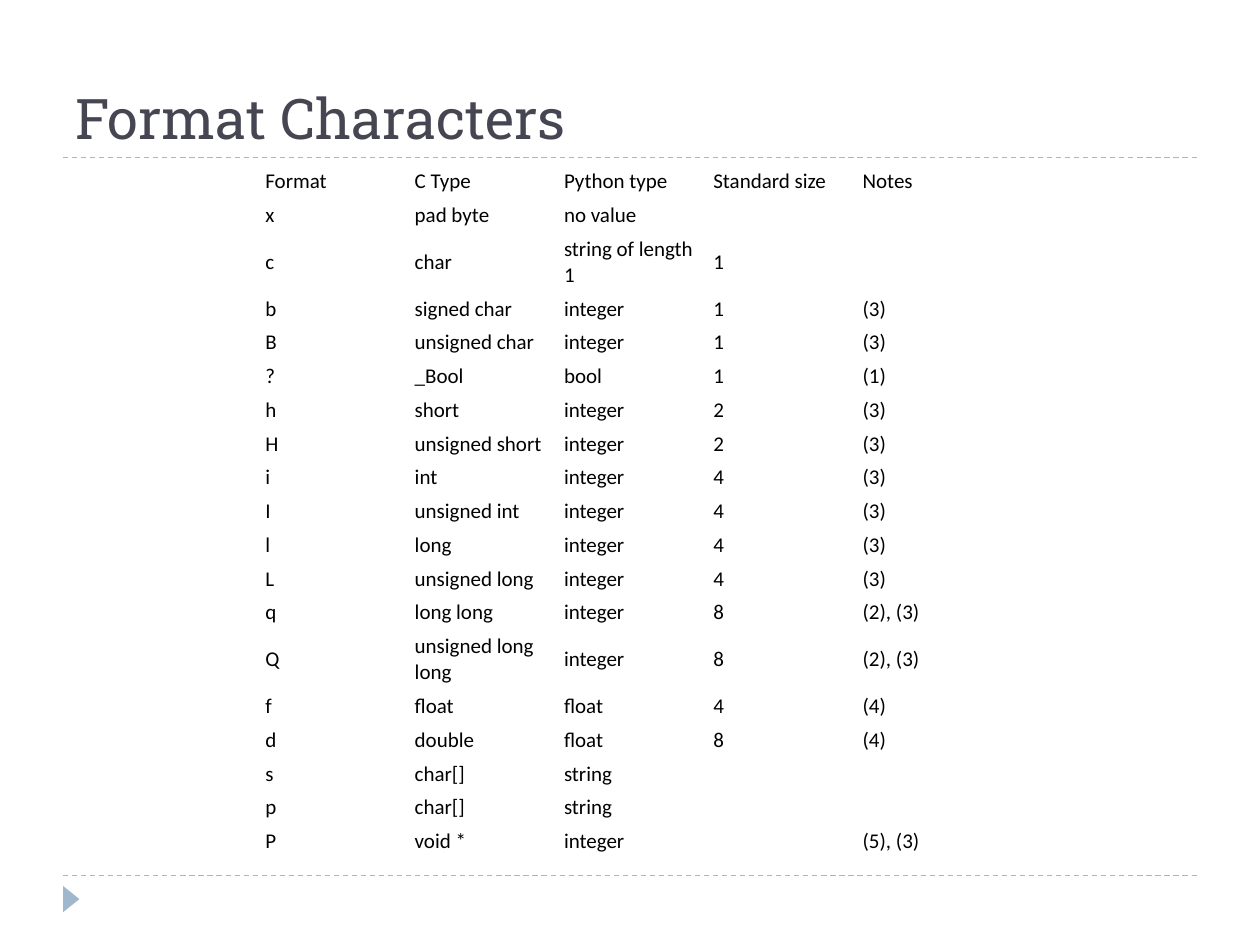
"""Build a slide with a table of struct format characters."""
from lxml import etree
from pptx import Presentation
from pptx import util as u
from pptx.dml.color import RGBColor
from pptx.enum import dml, shapes, text
from pptx.oxml.ns import qn

COLORS = {"title": "464653", "accent": "9FB8CD", "body": "000000"}
ROWS = [
    ("Format", "C Type", "Python type", "Standard size", "Notes"),
    ("x", "pad byte", "no value", "", ""),
    ("c", "char", "string of length 1", "1", ""),
    ("b", "signed char", "integer", "1", "(3)"),
    ("B", "unsigned char", "integer", "1", "(3)"),
    ("?", "_Bool", "bool", "1", "(1)"),
    ("h", "short", "integer", "2", "(3)"),
    ("H", "unsigned short", "integer", "2", "(3)"),
    ("i", "int", "integer", "4", "(3)"),
    ("I", "unsigned int", "integer", "4", "(3)"),
    ("l", "long", "integer", "4", "(3)"),
    ("L", "unsigned long", "integer", "4", "(3)"),
    ("q", "long long", "integer", "8", "(2), (3)"),
    ("Q", "unsigned long long", "integer", "8", "(2), (3)"),
    ("f", "float", "float", "4", "(4)"),
    ("d", "double", "float", "8", "(4)"),
    ("s", "char[]", "string", "", ""),
    ("p", "char[]", "string", "", ""),
    ("P", "void *", "integer", "", "(5), (3)"),
]
TWO_LINE_FORMATS = ("c", "Q")


def style_font(font, name, size, color):
    font.name = name
    font.size = u.Pt(size)
    font.color.rgb = RGBColor.from_string(COLORS[color])


deck = Presentation()
deck.slide_width, deck.slide_height = u.Cm(25.4), u.Cm(19.05)
page = deck.slides.add_slide(deck.slide_layouts[5])

for y in (17.65, 3.17):
    rule = page.shapes.add_connector(
        shapes.MSO_CONNECTOR.STRAIGHT, u.Cm(1.27), u.Cm(y), u.Cm(24.13), u.Cm(y))
    rule.line.color.rgb = RGBColor.from_string(COLORS["accent"])
    rule.line.width = u.Pt(0.75)
    rule.line.dash_style = dml.MSO_LINE.DASH
    etree.SubElement(rule._element.spPr, qn("a:effectLst"))

marker = page.shapes.add_shape(
    shapes.MSO_SHAPE.ISOSCELES_TRIANGLE, u.Cm(1.17), u.Cm(17.96), u.Cm(0.53), u.Cm(0.33))
marker.rotation = 90
marker.shadow.inherit = False
marker.fill.solid()
marker.fill.fore_color.rgb = RGBColor.from_string(COLORS["accent"])
marker.line.fill.background()

title = page.shapes.title
title.left, title.top, title.width, title.height = u.Cm(1.27), u.Cm(0.43), u.Cm(22.86), u.Cm(2.74)
title.text_frame.text = "Format Characters"
title.text_frame.vertical_anchor = text.MSO_ANCHOR.BOTTOM
heading = title.text_frame.paragraphs[0]
heading.alignment = text.PP_ALIGN.LEFT
style_font(heading.runs[0].font, "Roboto Slab", 32, "title")

table = page.shapes.add_table(
    len(ROWS), len(ROWS[0]), u.Cm(5.18), u.Cm(3.32), u.Cm(15.05), u.Cm(13.98)).table
table.first_row = table.horz_banding = False
for column in table.columns:
    column.width = u.Cm(3.01)
for row, values in zip(table.rows, ROWS):
    row.height = u.Cm(1.21 if values[0] in TWO_LINE_FORMATS else 0.68)
    for cell, value in zip(row.cells, values):
        cell.fill.background()
        cell.vertical_anchor = text.MSO_ANCHOR.MIDDLE
        cell.margin_left = cell.margin_right = u.Cm(0.17)
        cell.margin_top = cell.margin_bottom = u.Cm(0.08)
        para = cell.text_frame.paragraphs[0]
        if value:
            para.text = value
            style_font(para.runs[0].font, "Calibri", 12, "body")
        else:
            etree.SubElement(para._p, qn("a:endParaRPr")).set("sz", "1200")

deck.save("out.pptx")
